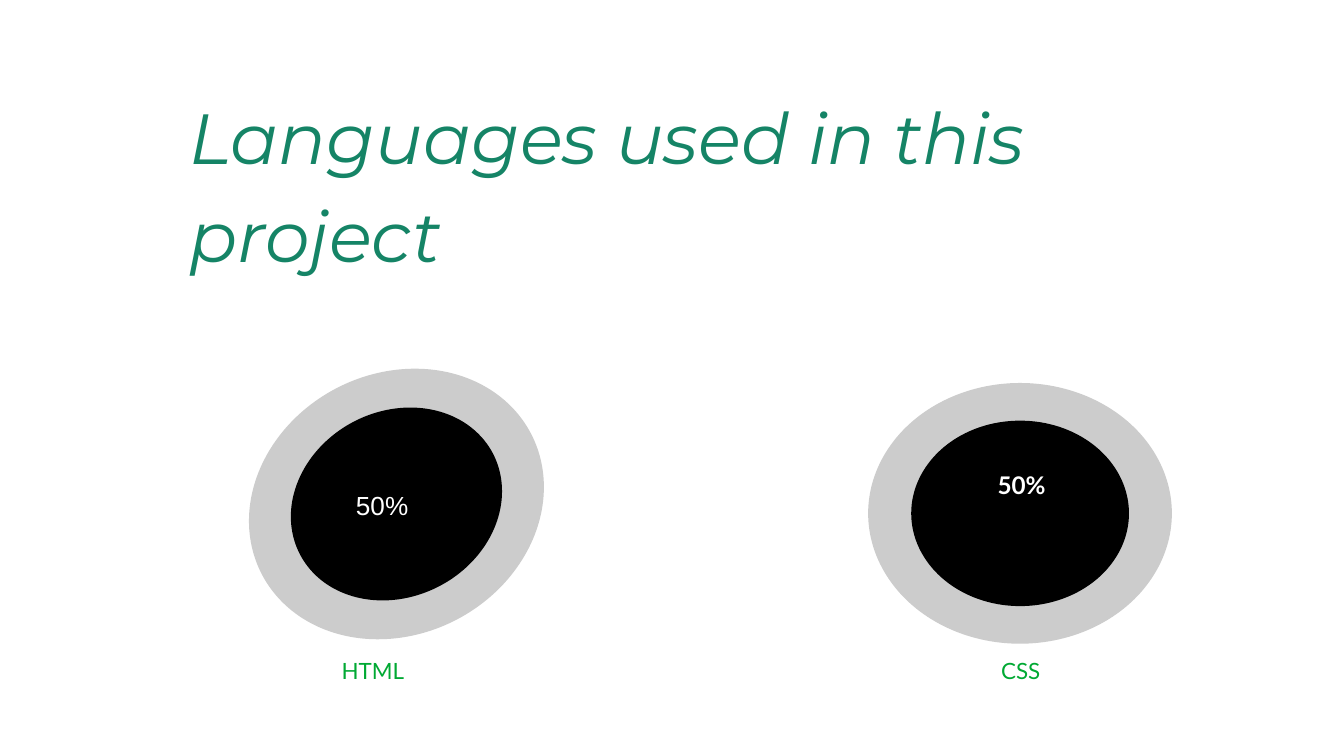
from pptx import Presentation
from pptx.dml.color import RGBColor
from pptx.enum.shapes import MSO_SHAPE as SHAPE
from pptx.enum.text import PP_ALIGN as ALIGN
from pptx.util import Inches, Pt


def rgb(color):
    return RGBColor.from_string(color)


def add_text(s, text, box, size, color, font="Lato", bold=False, italic=False,
             align=ALIGN.CENTER, spacing=1.0, pad_x=0.1, pad_y=0.1):
    tf = s.shapes.add_textbox(*map(Inches, box)).text_frame
    tf.word_wrap = True
    tf.margin_left = tf.margin_right = Inches(pad_x)
    tf.margin_top = tf.margin_bottom = Inches(pad_y)
    p = tf.paragraphs[0]
    p.alignment = align
    p.line_spacing = spacing
    r = p.add_run()
    r.text = text
    r.font.name = font
    r.font.size = Pt(size)
    r.font.bold = bold
    r.font.italic = italic
    r.font.color.rgb = rgb(color)


# 16:9 slide
prs = Presentation()
prs.slide_width = Inches(10)
prs.slide_height = Inches(10 * 9 / 16)
s = prs.slides.add_slide(prs.slide_layouts[6])

# Title
add_text(s, "Languages used in this project", (1.41, 0.5, 7.96, 1.35), 38,
         "158466", font="Montserrat", italic=True, align=ALIGN.LEFT,
         spacing=1.15, pad_x=0)

# Rings: a black disc centred on a grey one
for center_x, center_y, angle in [(2.95, 3.75, 332.3), (7.59, 3.82, 0)]:
    for width, height, color in [(2.26, 1.94, "CCCCCC"), (1.62, 1.38, "000000")]:
        sp = s.shapes.add_shape(
            SHAPE.OVAL, Inches(center_x - width / 2), Inches(center_y - height / 2),
            Inches(width), Inches(height))
        sp.rotation = angle
        sp.shadow.inherit = False
        sp.fill.solid()
        sp.fill.fore_color.rgb = rgb(color)
        sp.line.fill.background()

# Shares inside the rings
add_text(s, "50%", (2.55, 3.54, 0.85, 0.44), 14, "FFFFFF", font="Arial",
         align=ALIGN.LEFT)
add_text(s, "50%", (6.79, 3.34, 1.62, 0.86), 13, "FFFFFF", bold=True,
         spacing=1.15, pad_y=0.46)

# Language names below
for name, box in [("HTML", (1.52, 4.79, 2.51, 0.33)), ("CSS", (6.85, 4.79, 1.49, 0.71))]:
    add_text(s, name, box, 12, "00A933")

prs.save("out.pptx")
